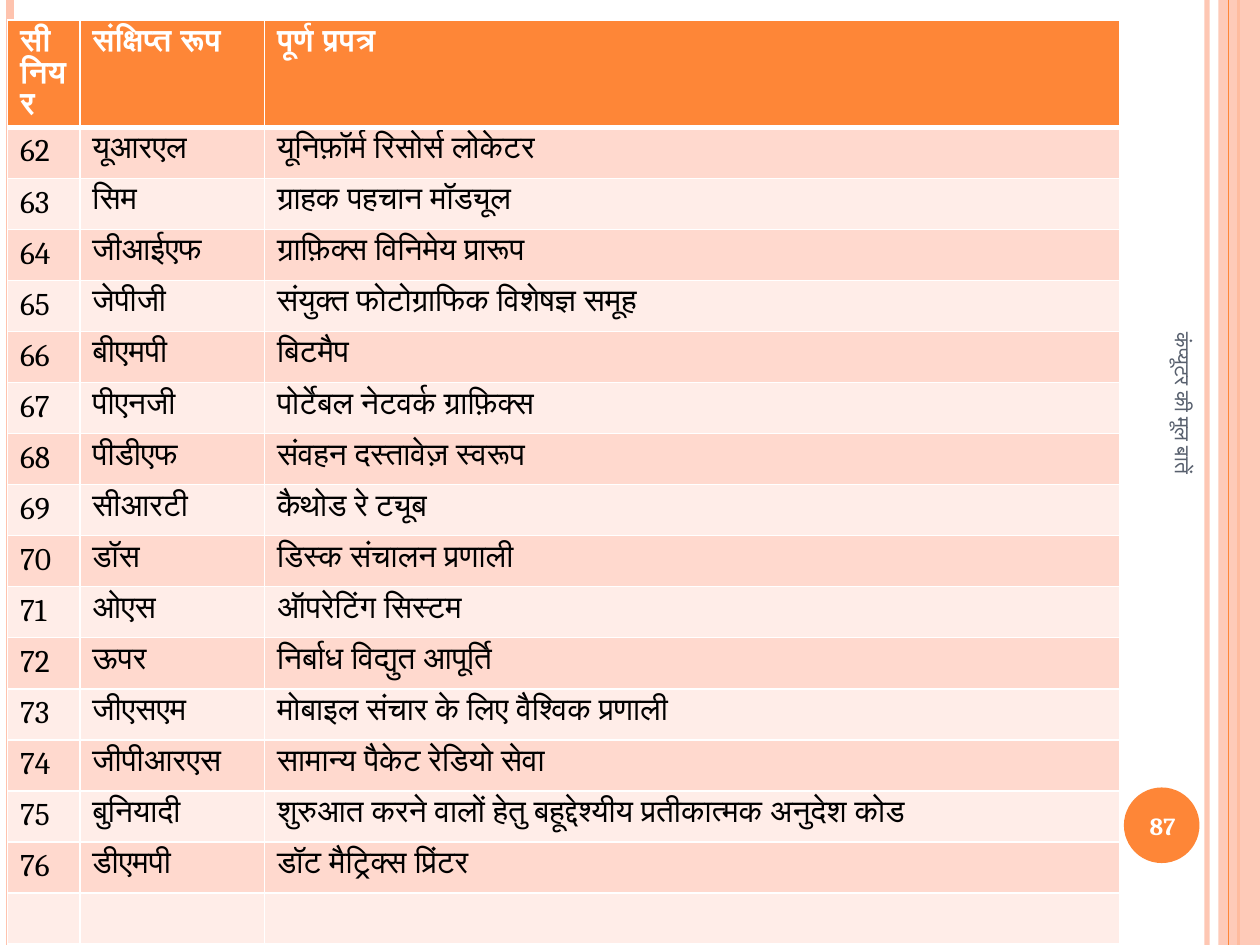
from lxml import etree
from pptx import Presentation
from pptx.dml.color import RGBColor
from pptx.enum.shapes import MSO_CONNECTOR, MSO_SHAPE
from pptx.enum.text import MSO_ANCHOR, PP_ALIGN
from pptx.oxml.ns import qn
from pptx.util import Inches, Pt

STRAIGHT = MSO_CONNECTOR.STRAIGHT
RECTANGLE, OVAL = MSO_SHAPE.RECTANGLE, MSO_SHAPE.OVAL
MIDDLE, CENTER, LEFT = MSO_ANCHOR.MIDDLE, PP_ALIGN.CENTER, PP_ALIGN.LEFT
WIDTH, HEIGHT = 10, 7.5
FONT = "Cambria"
COLORS = {
    "orange": "FE8637",
    "peach": "FEC3AE",
    "band_dark": "FFD9CE",
    "band_light": "FFEDE8",
    "white": "FFFFFF",
    "black": "000000",
    "slate": "575F6D",
}
HEADINGS = ("सीनियर", "संक्षिप्त रूप", "पूर्ण प्रपत्र")
FIRST_NUMBER = 62
ABBREVIATIONS = [
    ("यूआरएल", "यूनिफ़ॉर्म रिसोर्स लोकेटर"),
    ("सिम", "ग्राहक पहचान मॉड्यूल"),
    ("जीआईएफ", "ग्राफ़िक्स विनिमेय प्रारूप"),
    ("जेपीजी", "संयुक्त फोटोग्राफिक विशेषज्ञ समूह"),
    ("बीएमपी", "बिटमैप"),
    ("पीएनजी", "पोर्टेबल नेटवर्क ग्राफ़िक्स"),
    ("पीडीएफ", "संवहन दस्तावेज़ स्वरूप"),
    ("सीआरटी", "कैथोड रे ट्यूब"),
    ("डॉस", "डिस्क संचालन प्रणाली"),
    ("ओएस", "ऑपरेटिंग सिस्टम"),
    ("ऊपर", "निर्बाध विद्युत आपूर्ति"),
    ("जीएसएम", "मोबाइल संचार के लिए वैश्विक प्रणाली"),
    ("जीपीआरएस", "सामान्य पैकेट रेडियो सेवा"),
    ("बुनियादी", "शुरुआत करने वालों हेतु बहूद्देश्यीय प्रतीकात्मक अनुदेश कोड"),
    ("डीएमपी", "डॉट मैट्रिक्स प्रिंटर"),
]


def rgb(name):
    return RGBColor.from_string(COLORS[name])


def add_run(paragraph, text, size, color, bold=False):
    run = paragraph.add_run()
    run.text = text
    run.font.name = FONT
    run.font.size = Pt(size)
    run.font.bold = bold
    run.font.color.rgb = rgb(color)


def set_opacity(fill_owner, percent):
    color = next(fill_owner.iter(qn("a:srgbClr")))
    etree.SubElement(color, qn("a:alpha"), val=str(percent * 1000))


def add_stripe(slide, box, share, color, width, opacity=100):
    left, top, box_width, height = box
    x = Inches(left + share * box_width)
    line = slide.shapes.add_connector(STRAIGHT, x, Inches(top), x, Inches(top + height))
    line.line.color.rgb = rgb(color)
    line.line.width = Pt(width)
    properties = line._element.spPr
    if opacity < 100:
        set_opacity(properties, opacity)
    etree.SubElement(properties, qn("a:effectLst"))


def add_block(slide, kind, box, color):
    shape = slide.shapes.add_shape(kind, *map(Inches, box))
    shape.shadow.inherit = False
    shape.fill.solid()
    shape.fill.fore_color.rgb = rgb(color)
    shape.line.fill.background()
    return shape


def add_label(slide, box, text, size, color, bold=False, alignment=LEFT, rotation=0):
    label = slide.shapes.add_textbox(*map(Inches, box))
    label.rotation = rotation
    frame = label.text_frame
    frame.word_wrap = True
    frame.vertical_anchor = MIDDLE
    paragraph = frame.paragraphs[0]
    paragraph.alignment = alignment
    add_run(paragraph, text, size, color, bold)


def add_side_bands(slide, box):
    left, top, width, height = box
    add_stripe(slide, box, 0.958, "peach", 3, 93)
    add_stripe(slide, box, 0.008, "peach", 4.5)
    add_stripe(slide, box, 0.983, "orange", 1.5)
    band = add_block(slide, RECTANGLE, (left + 0.967 * width, top, 0.033 * width, height), "peach")
    set_opacity(band._element.spPr, 87)
    add_stripe(slide, box, 0.975, "orange", 0.75)


def set_borders(cell, bottom_width):
    properties = cell._tc.get_or_add_tcPr()
    widths = {"a:lnL": 1, "a:lnR": 1, "a:lnT": 1, "a:lnB": bottom_width}
    for index, (side, width) in enumerate(widths.items()):
        border = etree.Element(qn(side), w=str(Pt(width)))
        fill = etree.SubElement(border, qn("a:solidFill"))
        etree.SubElement(fill, qn("a:srgbClr"), val=COLORS["white"])
        properties.insert(index, border)


def add_abbreviation_table(slide, box):
    numbered = [(str(FIRST_NUMBER + i), *names) for i, names in enumerate(ABBREVIATIONS)]
    rows = [HEADINGS, *numbered, ("", "", "")]
    frame = slide.shapes.add_table(len(rows), len(HEADINGS), *map(Inches, box))
    table = frame.table
    table.first_row = False
    table.horz_banding = False
    for column, share in zip(table.columns, (0.065, 0.166, 0.769)):
        column.width = Inches(share * box[2])
    for row_index, values in enumerate(rows):
        heading = row_index == 0
        band = "band_dark" if row_index % 2 else "band_light"
        for column_index, value in enumerate(values):
            cell = table.cell(row_index, column_index)
            cell.fill.solid()
            cell.fill.fore_color.rgb = rgb("orange" if heading else band)
            set_borders(cell, 3 if heading else 1)
            if value:
                color = "white" if heading else "black"
                add_run(cell.text_frame.paragraphs[0], value, 18, color, heading)


def add_page_badge(slide, box):
    left, top, width, height = box
    add_block(slide, OVAL, box, "orange")
    label_box = (left - 0.05 * width, top + 0.03 * height, 1.12 * width, 0.95 * height)
    add_label(slide, label_box, "87", 14, "white", True, CENTER)


def main():
    presentation = Presentation()
    presentation.slide_width = Inches(WIDTH)
    presentation.slide_height = Inches(HEIGHT)
    slide = presentation.slides.add_slide(presentation.slide_layouts[6])
    add_side_bands(slide, (0, 0, WIDTH, HEIGHT))
    add_abbreviation_table(slide, (0.06, 0.16, 8.83, 6.89))
    add_page_badge(slide, (8.92, 6.25, 0.6, 0.6))
    add_label(slide, (7.64, 4.09, 3.5, 0.4), "कंप्यूटर की मूल बातें", 12, "slate", rotation=90)
    presentation.save("out.pptx")


if __name__ == "__main__":
    main()
